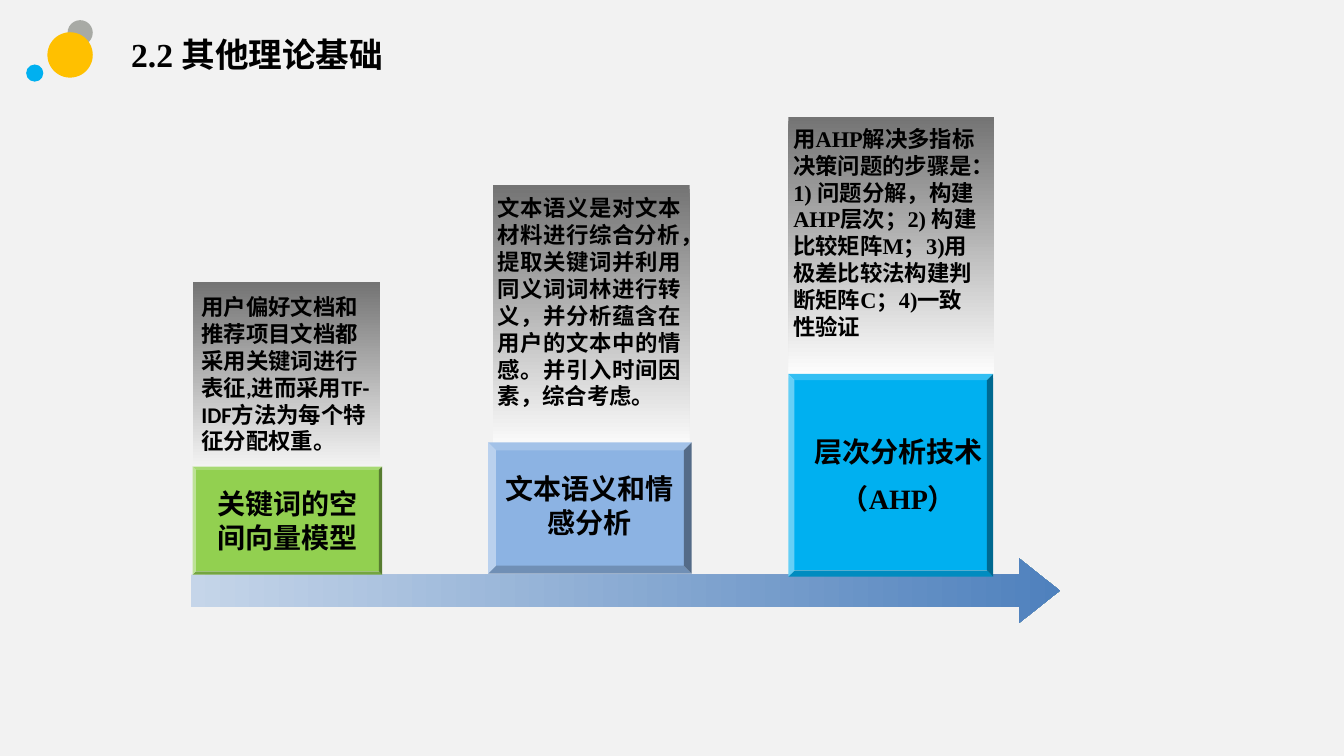
from dataclasses import dataclass

from pptx import Presentation
from pptx.dml.color import RGBColor
from pptx.enum.shapes import MSO_SHAPE
from pptx.enum.text import MSO_ANCHOR, MSO_AUTO_SIZE, PP_ALIGN
from pptx.util import Emu, Pt

EMU_PER_PX = 9144


@dataclass(frozen=True)
class Theme:
    background: str = "F2F2F2"
    text: str = "000000"
    grey: str = "A8AAA5"
    amber: str = "FFC000"
    cyan: str = "00B0F0"
    green: str = "92D050"
    blue: str = "8CB3E3"
    arrow: tuple = ("C5D5E9", "4F81BD")
    panel: tuple = ("747474", "FFFFFF")
    title_size: int = 24
    heading_size: int = 20
    body_size: int = 16
    heading_font: str = "Arial"
    body_font: str = "Calibri"
    serif_font: str = "Times New Roman"


THEME = Theme()

DOTS = [
    ((67, 20, 25, 25), THEME.grey),
    ((47, 32, 45, 45), THEME.amber),
    ((26, 64, 17, 17), THEME.cyan),
]


@dataclass(frozen=True)
class Step:
    panel: tuple
    body_box: tuple
    body: str
    block: tuple
    bevel: float
    color: str
    heading_box: tuple
    heading: tuple
    body_font: str = THEME.body_font
    body_alignment: PP_ALIGN = PP_ALIGN.LEFT
    heading_wrap: bool = True


STEPS = [
    Step(
        panel=(191, 280, 186, 200),
        body_box=(190, 286, 194, 172),
        body="用户偏好文档和推荐项目文档都采用关键词进行表征,进而采用TF-IDF方法为每个特征分配权重。",
        block=(191, 463, 188, 107),
        bevel=0.03,
        color=THEME.green,
        heading_box=(205, 478, 161, 63),
        heading=(["关键词的空间向量模型"],),
    ),
    Step(
        panel=(489, 184, 195, 266),
        body_box=(484, 188, 201, 226),
        body="文本语义是对文本材料进行综合分析，提取关键词并利用同义词词林进行转义，并分析蕴含在用户的文本中的情感。并引入时间因素，综合考虑。",
        body_alignment=PP_ALIGN.JUSTIFY,
        block=(484, 439, 202, 130),
        bevel=0.06,
        color=THEME.blue,
        heading_box=(483, 463, 203, 77),
        heading=(["文本语义和情感分析"],),
    ),
    Step(
        panel=(782, 116, 204, 259),
        body_box=(777, 119, 208, 251),
        body="用AHP解决多指标决策问题的步骤是：1) 问题分解，构建AHP层次；2) 构建比较矩阵M；3)用极差比较法构建判断矩阵C；4)一致性验证",
        body_font=THEME.serif_font,
        block=(782, 371, 203, 201),
        bevel=0.03,
        color=THEME.cyan,
        heading_box=(797, 426, 188, 94),
        heading=(["层次分析技术"], ["（", "AHP", "）"]),
        heading_wrap=False,
    ),
]


def px(*lengths):
    return [Emu(length * EMU_PER_PX) for length in lengths]


def format_run(run, font_name, size):
    run.font.name = font_name
    run.font.size = Pt(size)
    run.font.bold = True
    run.font.color.rgb = RGBColor.from_string(THEME.text)


def add_plain_shape(slide, kind, box, adjustments=()):
    shape = slide.shapes.add_shape(kind, *px(*box))
    shape.shadow.inherit = False
    shape.line.fill.background()
    for index, value in enumerate(adjustments):
        shape.adjustments[index] = value
    return shape


def add_solid_shape(slide, kind, box, color, adjustments=()):
    shape = add_plain_shape(slide, kind, box, adjustments)
    shape.fill.solid()
    shape.fill.fore_color.rgb = RGBColor.from_string(color)


def add_gradient_shape(slide, kind, box, colors, angle, adjustments=()):
    shape = add_plain_shape(slide, kind, box, adjustments)
    shape.fill.gradient()
    shape.fill.gradient_angle = angle
    for stop, color, position in zip(shape.fill.gradient_stops, colors, (0, 1)):
        stop.color.rgb = RGBColor.from_string(color)
        stop.position = position


def add_text_frame(slide, box, wrap=True):
    text_frame = slide.shapes.add_textbox(*px(*box)).text_frame
    text_frame.word_wrap = wrap
    return text_frame


def add_body(slide, step):
    text_frame = add_text_frame(slide, step.body_box)
    text_frame.auto_size = MSO_AUTO_SIZE.SHAPE_TO_FIT_TEXT
    text_frame.text = step.body
    paragraph = text_frame.paragraphs[0]
    paragraph.alignment = step.body_alignment
    format_run(paragraph.runs[0], step.body_font, THEME.body_size)


def add_heading(slide, step):
    text_frame = add_text_frame(slide, step.heading_box, step.heading_wrap)
    text_frame.auto_size = MSO_AUTO_SIZE.SHAPE_TO_FIT_TEXT
    for index, pieces in enumerate(step.heading):
        paragraph = text_frame.add_paragraph() if index else text_frame.paragraphs[0]
        paragraph.alignment = PP_ALIGN.CENTER
        if index:
            paragraph.space_before = Pt(THEME.heading_size / 2)
        for piece in pieces:
            run = paragraph.add_run()
            run.text = piece
            font_name = THEME.serif_font if piece.isascii() else THEME.heading_font
            format_run(run, font_name, THEME.heading_size)


def add_step(slide, step):
    add_gradient_shape(slide, MSO_SHAPE.RECTANGLE, step.panel, THEME.panel, 270)
    add_body(slide, step)
    add_solid_shape(slide, MSO_SHAPE.BEVEL, step.block, step.color, [step.bevel])
    add_heading(slide, step)


def set_title(slide, text, box):
    title = slide.shapes.title
    title.left, title.top, title.width, title.height = px(*box)
    text_frame = title.text_frame
    text_frame.text = text
    text_frame.word_wrap = True
    text_frame.auto_size = MSO_AUTO_SIZE.NONE
    text_frame.vertical_anchor = MSO_ANCHOR.MIDDLE
    paragraph = text_frame.paragraphs[0]
    paragraph.alignment = PP_ALIGN.LEFT
    paragraph.line_spacing = 0.9
    format_run(paragraph.runs[0], THEME.serif_font, THEME.title_size)


def main():
    presentation = Presentation()
    presentation.slide_width, presentation.slide_height = px(1333, 750)
    slide = presentation.slides.add_slide(presentation.slide_layouts[5])
    slide.background.fill.solid()
    slide.background.fill.fore_color.rgb = RGBColor.from_string(THEME.background)
    set_title(slide, "2.2 其他理论基础", (120, 30, 702, 53))
    for box, color in DOTS:
        add_solid_shape(slide, MSO_SHAPE.OVAL, box, color)
    add_gradient_shape(
        slide, MSO_SHAPE.RIGHT_ARROW, (189, 554, 862, 64), THEME.arrow, 0, [0.5, 0.63]
    )
    for step in STEPS:
        add_step(slide, step)
    presentation.save("out.pptx")


if __name__ == "__main__":
    main()
